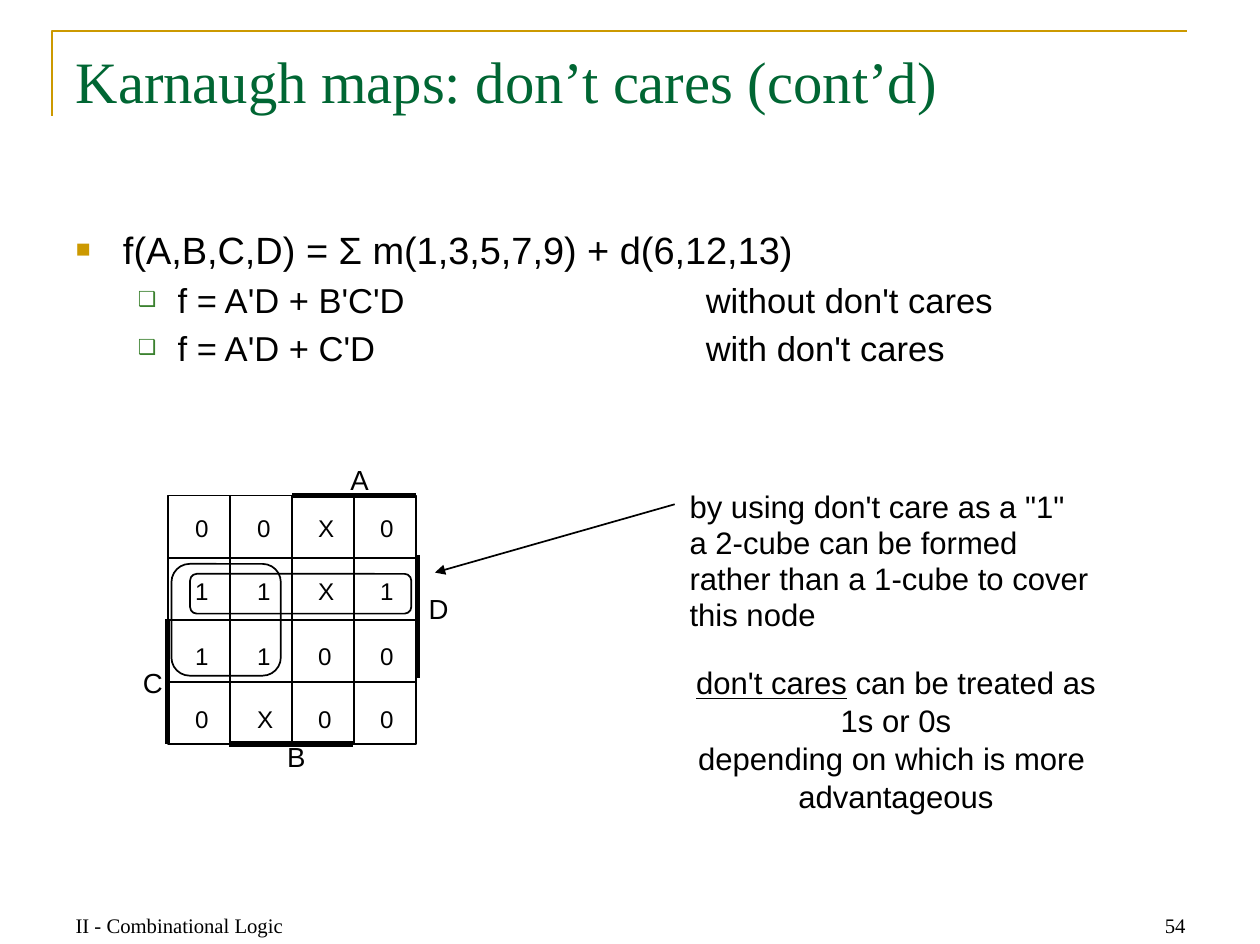
"""Build a slide on don't cares in Karnaugh maps."""
from lxml.etree import SubElement
from pptx import Presentation
from pptx.dml.color import RGBColor
from pptx.enum.shapes import MSO_CONNECTOR, MSO_SHAPE
from pptx.enum.text import MSO_ANCHOR, MSO_AUTO_SIZE, PP_ALIGN
from pptx.oxml.ns import qn
from pptx.util import Pt

PX = 9144
BLACK = RGBColor(0x00, 0x00, 0x00)
GOLD = RGBColor(0xCC, 0x99, 0x00)
GREEN = RGBColor(0x00, 0x66, 0x33)
LEAF = RGBColor(0x3B, 0x81, 0x2F)
SANS, SERIF = "Arial", "Times New Roman"
CELLS = ["00X0", "11X1", "1100", "0X00"]
LEFT, TOP, STEP = 135, 399, 50


def px(*nums):
    """Turn px lengths into EMU."""
    return [num * PX for num in nums]


def add_run(para, text, size, font=SANS, color=BLACK, under=None):
    """Add one run of text."""
    run = para.add_run()
    run.text = text
    run.font.size = Pt(size)
    run.font.name = font
    run.font.color.rgb = color
    run.font.underline = under


def add_lines(para, lines, size):
    """Add runs parted by line breaks."""
    for i, line in enumerate(lines):
        if i:
            para.add_line_break()
        add_run(para, line, size)


def add_tab(para, stop):
    """Set one left tab stop."""
    tabs = SubElement(para._p.get_or_add_pPr(), qn("a:tabLst"))
    SubElement(tabs, qn("a:tab"), pos=str(stop * PX), algn="l")


def add_mark(para, char, color, size, left, hang):
    """Give a paragraph its bullet and indent."""
    props = para._p.get_or_add_pPr()
    props.set("marL", str(left * PX))
    props.set("indent", str(-hang * PX))
    tint = SubElement(props, qn("a:buClr"))
    SubElement(tint, qn("a:srgbClr"), val=str(color))
    SubElement(props, qn("a:buSzPct"), val=str(size * 1000))
    SubElement(props, qn("a:buChar"), char=char)


def set_frame(frame, pad=(10, 5), wrap=True, anchor=MSO_ANCHOR.TOP):
    """Set the margins, wrap and anchor of a frame."""
    frame.auto_size = MSO_AUTO_SIZE.NONE
    frame.word_wrap = wrap
    frame.vertical_anchor = anchor
    frame.margin_left = frame.margin_right = pad[0] * PX
    frame.margin_top = frame.margin_bottom = pad[1] * PX
    return frame


def add_box(slide, box, lead):
    """Add an unwrapped text box and return its first paragraph."""
    frame = slide.shapes.add_textbox(*px(*box)).text_frame
    para = set_frame(frame, (2, 3), False).paragraphs[0]
    para.line_spacing = Pt(lead)
    return para


def add_foot(slide, left, text, align):
    """Add one footer text."""
    frame = slide.shapes.add_textbox(*px(left, 709, 237, 51)).text_frame
    para = set_frame(frame, anchor=MSO_ANCHOR.BOTTOM).paragraphs[0]
    para.alignment = align
    add_run(para, text, 12, SERIF)


def add_line(slide, ends, width=1):
    """Add a straight black line."""
    line = slide.shapes.add_connector(MSO_CONNECTOR.STRAIGHT, *px(*ends))
    line.line.color.rgb = BLACK
    line.line.width = Pt(width)
    SubElement(line._element.spPr, qn("a:effectLst"))
    return line


def add_frame(slide, kind, box):
    """Add an unfilled black outline."""
    shape = slide.shapes.add_shape(kind, *px(*box))
    shape.shadow.inherit = False
    shape.fill.background()
    shape.line.color.rgb = BLACK
    shape.line.width = Pt(1)


def add_edge(slide):
    """Draw the gold corner line by the title."""
    form = slide.shapes.build_freeform(42, 93, scale=PX)
    form.add_line_segments([(42, 25), (955, 25)], close=False)
    edge = form.convert_to_shape()
    edge.shadow.inherit = False
    edge.fill.background()
    edge.line.color.rgb = GOLD
    edge.line.width = Pt(1.5)


def place(shape, box):
    """Move and size a shape."""
    shape.left, shape.top, shape.width, shape.height = px(*box)


def fill_title(slide):
    """Fill the title."""
    title = slide.shapes.title
    place(title, (51, 31, 912, 126))
    para = set_frame(title.text_frame).paragraphs[0]
    para.alignment = PP_ALIGN.LEFT
    add_run(para, "Karnaugh maps: don’t cares (cont’d)", 34, SERIF, GREEN)


def fill_body(slide):
    """Fill the list of functions."""
    body = slide.placeholders[1]
    place(body, (51, 177, 912, 502))
    frame = set_frame(body.text_frame)
    para = frame.paragraphs[0]
    add_mark(para, "■", GOLD, 65, 38, 38)
    para.space_before = Pt(0)
    add_run(para, "f(A,B,C,D) = Σ m(1,3,5,7,9) + d(6,12,13)", 22)
    for text in ("f = A'D + B'C'D\twithout don't cares",
                 "f = A'D + C'D\twith don't cares"):
        para = frame.add_paragraph()
        para.level = 1
        add_mark(para, "❑", LEAF, 60, 82, 32)
        add_tab(para, 507)
        para.space_before = Pt(4)
        add_run(para, text, 20)


def add_block(slide, row, col):
    """Draw one two-by-two block of the map."""
    x, y = LEFT + col * 2 * STEP, TOP + row * 2 * STEP
    add_frame(slide, MSO_SHAPE.RECTANGLE, (x, y, 2 * STEP, 2 * STEP))
    add_line(slide, (x + STEP, y, x + STEP, y + 2 * STEP))
    add_line(slide, (x, y + STEP, x + 2 * STEP, y + STEP))
    para = add_box(slide, (155 + 99 * col, 409 + 103 * row, 90, 89), 18)
    frame = para._parent
    for i, line in enumerate(CELLS[2 * row:2 * row + 2]):
        if i:
            para = frame.add_paragraph()
            para.line_spacing = para.space_before = Pt(18)
        add_tab(para, STEP)
        add_run(para, "\t".join(line[2 * col:2 * col + 2]), 14)


def add_map(slide):
    """Draw the map with its names and groups."""
    for row in range(2):
        for col in range(2):
            add_block(slide, row, col)
    for ends in ((235, 399, 335, 399), (336, 447, 336, 546),
                 (184, 599, 284, 599), (135, 498, 135, 599)):
        add_line(slide, ends, 3)
    for name, x, y in (("A", 280, 374), ("D", 343, 478),
                       ("B", 229, 597), ("C", 113, 538)):
        add_run(add_box(slide, (x, y, 30, 36), 16), name, 16)
    for box in ((138, 454, 88, 90), (153, 462, 178, 32)):
        add_frame(slide, MSO_SHAPE.ROUNDED_RECTANGLE, box)


def add_notes(slide):
    """Add the two remarks and the arrow."""
    para = add_box(slide, (553, 390, 403, 131), 21)
    add_lines(para, ["by using don't care as a \"1\"", "a 2-cube can be formed ",
                     "rather than a 1-cube to cover", "this node"], 18)
    para = add_box(slide, (534, 531, 374, 164), 22)
    para.alignment = PP_ALIGN.CENTER
    add_run(para, "don't cares", 18, under=True)
    add_lines(para, [" can be treated as", "1s or 0s",
                     "depending on which is more ", "advantageous"], 18)
    arrow = add_line(slide, (350, 461, 543, 406))
    SubElement(arrow.line._get_or_add_ln(), qn("a:headEnd"), type="triangle")


def main():
    """Build and save the slide."""
    deck = Presentation()
    deck.slide_width, deck.slide_height = px(1014, 760)
    slide = deck.slides.add_slide(deck.slide_layouts[1])
    add_edge(slide)
    fill_title(slide)
    fill_body(slide)
    add_map(slide)
    add_notes(slide)
    add_foot(slide, 51, "II - Combinational Logic", PP_ALIGN.LEFT)
    add_foot(slide, 727, "54", PP_ALIGN.RIGHT)
    deck.save("out.pptx")


if __name__ == "__main__":
    main()
